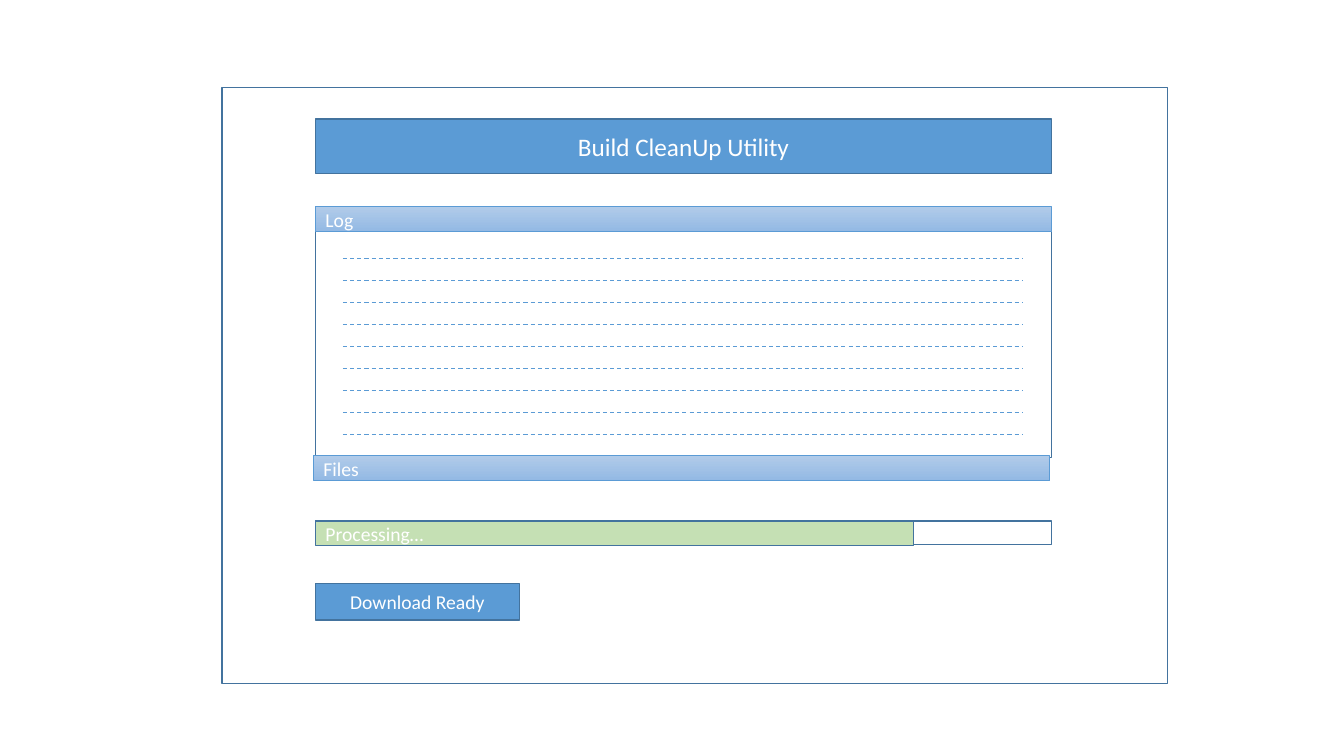
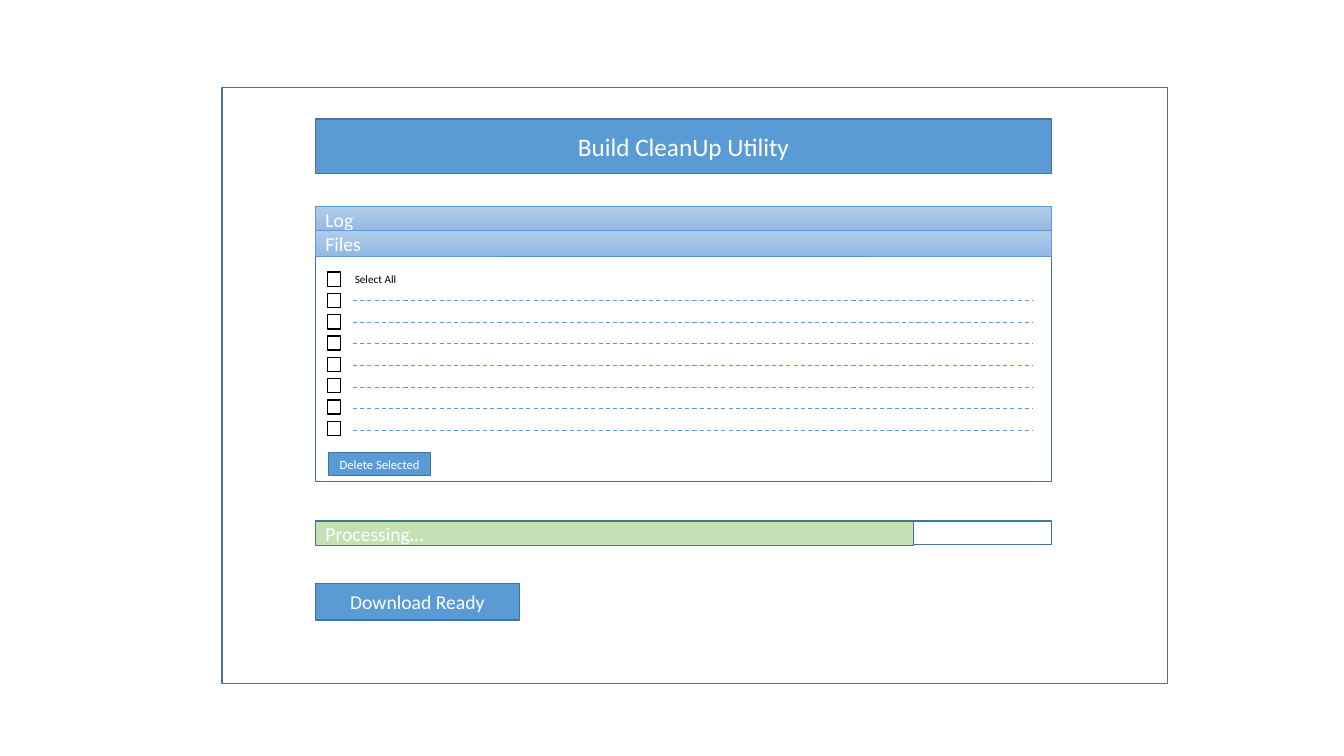
from dataclasses import dataclass

from lxml.etree import SubElement
from pptx import Presentation
from pptx.dml.color import RGBColor as RGB
from pptx.enum.dml import MSO_LINE
from pptx.enum.shapes import MSO_CONNECTOR as CONNECTOR, MSO_SHAPE as SHAPE
from pptx.enum.text import MSO_ANCHOR as ANCHOR, PP_ALIGN as ALIGN
from pptx.oxml.ns import qn
from pptx.util import Inches, Pt


@dataclass(frozen=True)
class Theme:
    font: str = "Calibri"
    blue: RGB = RGB(0x5B, 0x9B, 0xD5)
    border: RGB = RGB(0x43, 0x73, 0x9E)
    green: RGB = RGB(0xC5, 0xE0, 0xB4)
    white: RGB = RGB(255, 255, 255)
    black: RGB = RGB(0, 0, 0)
    header: tuple = (RGB(0xB1, 0xCB, 0xE9), RGB(0x93, 0xB9, 0xE4))
    title: int = 18
    body: int = 14
    small: int = 9
    tiny: int = 8


THEME = Theme()
LEFT, WIDTH = 3.13, 7.3
BAR_H, PANEL_H = 0.25, 2.24
RULE_W = 6.74


def spread(first, last, count):
    """Return evenly spaced positions from first to last."""
    step = (last - first) / (count - 1)
    return [first + i * step for i in range(count)]


def write(tf, text, size=THEME.body, color=THEME.white, align=ALIGN.LEFT, anchor=ANCHOR.MIDDLE):
    """Put one formatted line of text in a text frame."""
    tf.word_wrap = True
    tf.vertical_anchor = anchor
    p = tf.paragraphs[0]
    p.alignment = align
    r = p.add_run()
    r.text = text
    r.font.name = THEME.font
    r.font.size = Pt(size)
    r.font.color.rgb = color


def add_box(s, x, y, w, h, fill=None, line=THEME.border, weight=1):
    """Draw a rectangle with an optional solid fill."""
    sp = s.shapes.add_shape(SHAPE.RECTANGLE, Inches(x), Inches(y), Inches(w), Inches(h))
    sp.shadow.inherit = False
    if fill is None:
        sp.fill.background()
    else:
        sp.fill.solid()
        sp.fill.fore_color.rgb = fill
    sp.line.color.rgb = line
    sp.line.width = Pt(weight)
    return sp


def add_button(s, text, x, y, w, h, size=THEME.body):
    """Draw a blue box with a centred label."""
    sp = add_box(s, x, y, w, h, fill=THEME.blue)
    write(sp.text_frame, text, size=size, align=ALIGN.CENTER)


def add_header(s, text, y, x=LEFT):
    """Draw the gradient header of an accordion section."""
    sp = add_box(s, x, y, WIDTH, BAR_H, line=THEME.blue, weight=0.5)
    sp.fill.gradient()
    sp.fill.gradient_angle = 270
    for stop, color in zip(sp.fill.gradient_stops, THEME.header):
        stop.color.rgb = color
    write(sp.text_frame, text)


def add_rules(s, x, rows):
    """Draw a dashed line at each row height."""
    for y in rows:
        rule = s.shapes.add_connector(
            CONNECTOR.STRAIGHT, Inches(x), Inches(y), Inches(x + RULE_W), Inches(y))
        rule.line.color.rgb = THEME.blue
        rule.line.width = Pt(0.75)
        rule.line.dash_style = MSO_LINE.DASH
        SubElement(rule._element.spPr, qn("a:effectLst"))


def add_screen(prs, panel_y):
    """Add a slide with the window parts shared by both screens."""
    s = prs.slides.add_slide(prs.slide_layouts[6])
    add_box(s, 2.2, 0.87, 9.38, 5.91)
    add_button(s, "Build CleanUp Utility", LEFT, 1.18, WIDTH, 0.54, size=THEME.title)
    add_box(s, LEFT, panel_y, WIDTH, PANEL_H)
    add_box(s, LEFT, 5.17, WIDTH, 0.23)
    progress = add_box(s, LEFT, 5.17, 5.93, 0.24, fill=THEME.green)
    write(progress.text_frame, "Processing…")
    add_button(s, "Download Ready", LEFT, 5.79, 2.02, 0.36)
    add_header(s, "Log", 2.05)
    return s


def build_log_screen(prs):
    """Build the screen with the log section open."""
    s = add_screen(prs, panel_y=2.3)
    add_header(s, "Files", 4.52, x=3.11)
    add_rules(s, 3.4, spread(2.56, 4.31, 9))


def build_files_screen(prs):
    """Build the screen with the files section open."""
    s = add_screen(prs, panel_y=2.54)
    add_header(s, "Files", 2.29)
    for y in spread(2.7, 4.18, 8):
        add_box(s, 3.25, y, 0.13, 0.14, fill=THEME.white, line=THEME.black)
    label = s.shapes.add_textbox(Inches(3.42), Inches(2.65), Inches(1.62), Inches(0.24))
    write(label.text_frame, "Select All", size=THEME.tiny, color=THEME.black, anchor=ANCHOR.TOP)
    add_rules(s, 3.5, spread(2.98, 4.27, 7))
    add_button(s, "Delete Selected", 3.26, 4.49, 1.01, 0.23, size=THEME.small)


def main():
    """Build and save both screens."""
    prs = Presentation()
    prs.slide_width, prs.slide_height = Inches(13.33), Inches(7.5)
    build_log_screen(prs)
    build_files_screen(prs)
    prs.save("out.pptx")


main()
